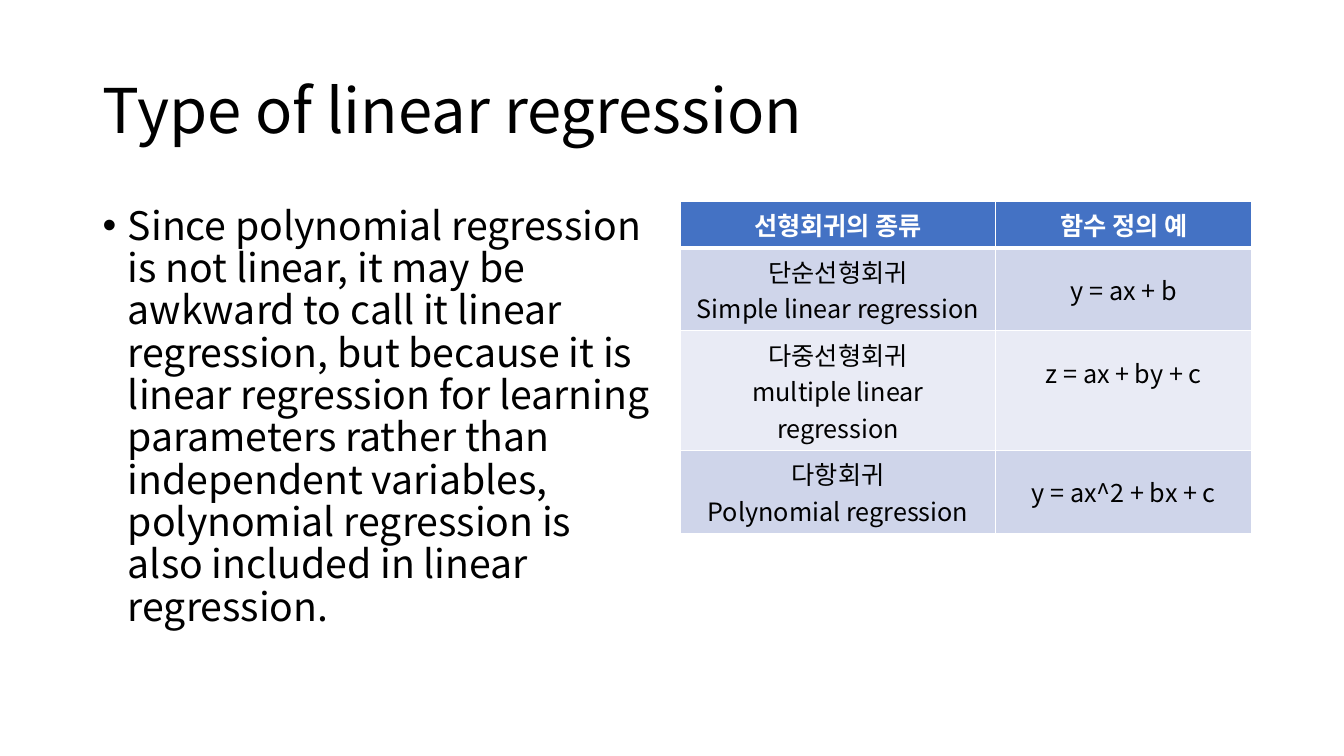
from dataclasses import dataclass

from lxml.etree import SubElement
from pptx import Presentation
from pptx.dml.color import RGBColor as Rgb
from pptx.enum.text import MSO_ANCHOR as Anchor, MSO_AUTO_SIZE as AutoSize, PP_ALIGN as Align
from pptx.oxml.ns import qn
from pptx.util import Cm, Pt


@dataclass(frozen=True)
class Theme:
    font: str = "Noto Sans CJK KR"
    text: str = "000000"
    white: str = "FFFFFF"
    header: str = "4472C4"
    bands: tuple = ("CFD5EA", "E9EBF5")
    title_size: int = 44
    body_size: int = 28
    table_size: int = 18
    border: int = 1
    header_border: int = 3


THEME = Theme()

TITLE = "Type of linear regression"
BODY = (
    "Since polynomial regression is not linear, it may be awkward to call it "
    "linear regression, but because it is linear regression for learning "
    "parameters rather than independent variables, polynomial regression is "
    "also included in linear regression."
)
HEADINGS = ("선형회귀의 종류", "함수 정의 예")
REGRESSIONS = (
    ("단순선형회귀\nSimple linear regression", "y = ax + b"),
    ("다중선형회귀\nmultiple linear regression", "z = ax + by + c"),
    ("다항회귀\nPolynomial regression", "y = ax^2 + bx + c"),
)


def set_all(target, values):
    for name, value in values.items():
        setattr(target, name, value)


def write(frame, text, size, color=THEME.text, bold=False, **para_format):
    """Fill a text frame, one paragraph per line of text."""
    frame.text = text
    for para in frame.paragraphs:
        set_all(para, para_format)
        for span in para.runs:
            set_all(span.font, {"name": THEME.font, "size": Pt(size), "bold": bold})
            span.font.color.rgb = Rgb.from_string(color)
            # Korean glyphs use the East Asian font slot
            SubElement(span.font._element, qn("a:ea"), typeface=THEME.font)


def fill_placeholder(box, place, anchor, text, size, **para_format):
    set_all(box, dict(zip(("left", "top", "width", "height"), map(Cm, place))))
    set_all(box.text_frame, {"word_wrap": True, "auto_size": AutoSize.NONE,
                             "vertical_anchor": anchor})
    write(box.text_frame, text, size, alignment=Align.LEFT, line_spacing=0.9,
          **para_format)


def set_bullet(para, indent):
    props = para._p.get_or_add_pPr()
    props.set("marL", str(indent))
    props.set("indent", str(-indent))
    SubElement(props, qn("a:buFont"), typeface="Arial")
    SubElement(props, qn("a:buChar"), char="•")


def set_borders(cell, widths):
    """Draw white cell borders; widths maps a side (L, R, T, B) to points."""
    props = cell._tc.get_or_add_tcPr()
    for side, width in widths.items():
        line = SubElement(props, qn(f"a:ln{side}"), w=str(Pt(width)))
        fill = SubElement(line, qn("a:solidFill"))
        SubElement(fill, qn("a:srgbClr"), val=THEME.white)


def format_cell(cell, row, column, text):
    is_header = row == 0
    widths = dict.fromkeys("LRTB", THEME.border)
    if row < 2:
        widths["B" if is_header else "T"] = THEME.header_border
    set_borders(cell, widths)
    cell.fill.solid()
    color = THEME.header if is_header else THEME.bands[(row - 1) % 2]
    cell.fill.fore_color.rgb = Rgb.from_string(color)
    is_formula = column == 1 and not is_header
    write(cell.text_frame, text, THEME.table_size,
          color=THEME.white if is_header else THEME.text, bold=is_header,
          alignment=Align.CENTER, line_spacing=1.5 if is_formula else 1.0)


def add_regression_table(page):
    rows = (HEADINGS, *REGRESSIONS)
    row_height = Cm(1.03)
    table = page.shapes.add_table(
        len(rows), len(HEADINGS), Cm(17.15), Cm(5.07), Cm(14.4),
        row_height * len(rows)).table
    for column, width in zip(table.columns, (7.94, 6.46)):
        column.width = Cm(width)
    for row, texts in enumerate(rows):
        for column, text in enumerate(texts):
            format_cell(table.cell(row, column), row, column, text)


def main():
    deck = Presentation()
    set_all(deck, {"slide_width": Cm(33.87), "slide_height": Cm(19.05)})
    page = deck.slides.add_slide(deck.slide_layouts[1])

    # Title and bulleted explanation
    body = page.placeholders[1]
    fill_placeholder(page.shapes.title, (2.33, 1.01, 29.21, 3.68), Anchor.MIDDLE,
                     TITLE, THEME.title_size)
    fill_placeholder(body, (2.33, 5.07, 14.4, 12.09), Anchor.TOP,
                     BODY, THEME.body_size, space_before=Pt(10))
    set_bullet(body.text_frame.paragraphs[0], Cm(0.64))

    # Regression types and their formulas
    add_regression_table(page)
    deck.save("out.pptx")


if __name__ == "__main__":
    main()
